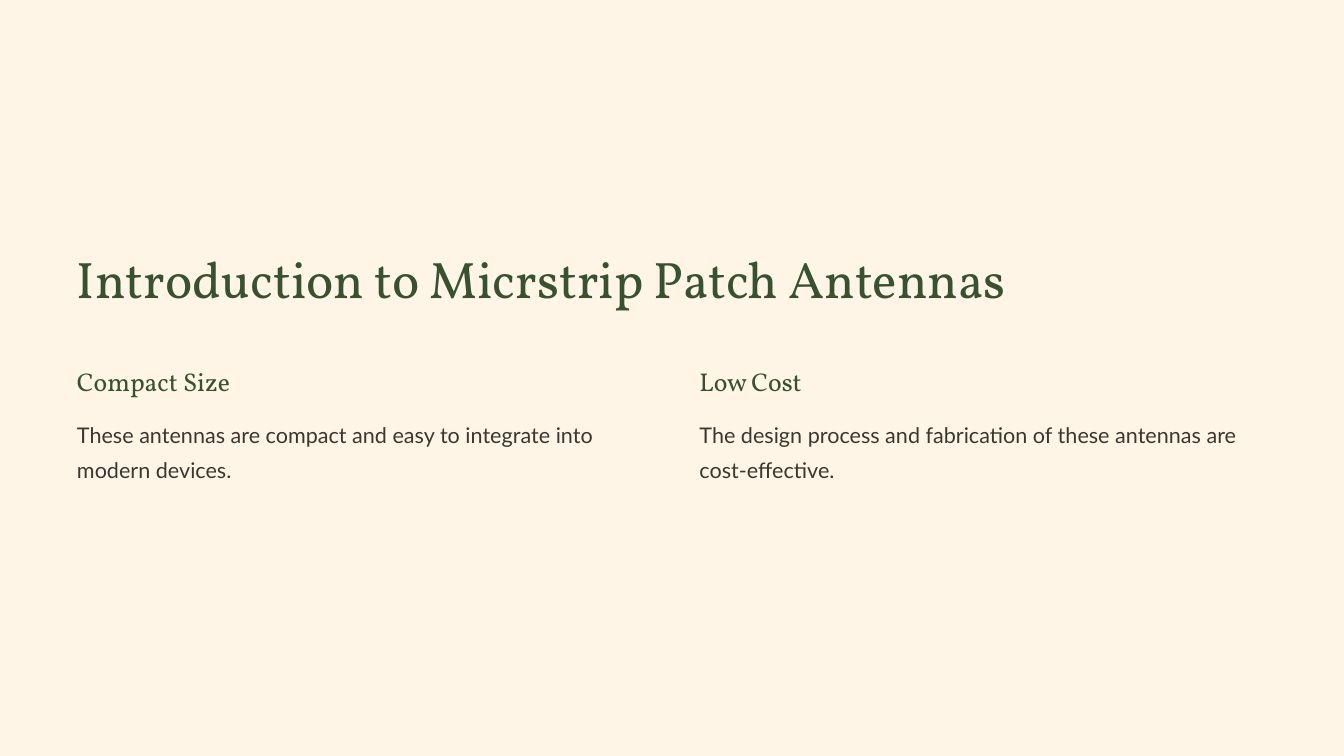
from dataclasses import dataclass

from lxml import etree
from pptx import Presentation
from pptx import util as u
from pptx.dml.color import RGBColor
from pptx.enum import text
from pptx.oxml.ns import qn
from pptx.slide import Slide

COLOURS = {"sand": "F2E4CF", "cream": "FEF5E7", "green": "38512F", "brown": "3A3630"}
BACKDROPS = ["sand", "cream"]
COMPARISON_LAYOUT = 4
SLIDE_WIDTH, SLIDE_HEIGHT = u.Pt(1440), u.Pt(810)
LEFT_MARGIN = 82.5
COLUMN_STEP = 666.9
HEADING_TOP, BODY_TOP = 390.2, 442.1


@dataclass(frozen=True)
class Style:
    font: str
    size: float
    line_spacing: float
    colour: str


@dataclass(frozen=True)
class TextBlock:
    placeholder: int
    words: str
    left: float
    top: float
    width: float
    height: float
    style: Style


@dataclass(frozen=True)
class Benefit:
    heading: str
    description: str


TITLE = Style("Vollkorn", 55, 68.8, "green")
HEADING = Style("Vollkorn", 27.5, 34.4, "green")
BODY = Style("Lato", 23.1, 37.5, "brown")

BENEFITS = [
    Benefit("Compact Size", "These antennas are compact and easy to integrate into modern devices."),
    Benefit("Low Cost", "The design process and fabrication of these antennas are cost-effective."),
]


def apply_format(target: object, values: dict) -> None:
    for name, value in values.items():
        setattr(target, name, value)


def draw_backdrop(slide: Slide, layer: int, colour: str) -> None:
    builder = slide.shapes.build_freeform(0, 0)
    builder.add_line_segments(
        [(SLIDE_WIDTH, 0), (SLIDE_WIDTH, SLIDE_HEIGHT), (0, SLIDE_HEIGHT)], close=True)
    shape = builder.convert_to_shape()
    shape.shadow.inherit = False
    shape.fill.solid()
    shape.fill.fore_color.rgb = RGBColor.from_string(COLOURS[colour])
    shape.line.fill.background()
    slide.shapes._spTree.insert(2 + layer, shape._element)


def draw_text(slide: Slide, block: TextBlock) -> None:
    shape = slide.placeholders[block.placeholder]
    apply_format(shape, {
        "left": u.Pt(block.left), "top": u.Pt(block.top),
        "width": u.Pt(block.width), "height": u.Pt(block.height),
    })
    frame = shape.text_frame
    frame.text = block.words
    apply_format(frame, {
        "margin_left": 0, "margin_top": 0, "margin_right": 0, "margin_bottom": 0,
        "word_wrap": True, "auto_size": text.MSO_AUTO_SIZE.NONE,
        "vertical_anchor": text.MSO_ANCHOR.TOP,
    })
    paragraph = frame.paragraphs[0]
    apply_format(paragraph, {
        "alignment": text.PP_ALIGN.LEFT, "space_before": u.Pt(0),
        "line_spacing": u.Pt(block.style.line_spacing),
    })
    properties = paragraph._p.get_or_add_pPr()
    properties.set("marL", "0")
    properties.set("indent", "0")
    etree.SubElement(properties, qn("a:buNone"))
    font = paragraph.runs[0].font
    apply_format(font, {
        "name": block.style.font, "size": u.Pt(block.style.size), "bold": False,
    })
    font.color.rgb = RGBColor.from_string(COLOURS[block.style.colour])


def draw_benefit(slide: Slide, column: int, benefit: Benefit) -> None:
    left = LEFT_MARGIN + column * COLUMN_STEP
    placeholder = 1 + 2 * column
    draw_text(slide, TextBlock(placeholder, benefit.heading, left, HEADING_TOP, 277.2, 36, HEADING))
    draw_text(slide, TextBlock(placeholder + 1, benefit.description, left, BODY_TOP, 609.1, 82.8, BODY))


def main() -> None:
    presentation = Presentation()
    apply_format(presentation, {"slide_width": SLIDE_WIDTH, "slide_height": SLIDE_HEIGHT})
    slide = presentation.slides.add_slide(presentation.slide_layouts[COMPARISON_LAYOUT])
    for layer, colour in enumerate(BACKDROPS):
        draw_backdrop(slide, layer, colour)
    draw_text(slide, TextBlock(
        0, "Introduction to Micrstrip Patch Antennas", LEFT_MARGIN, 262.1, 1065.6, 70.6, TITLE))
    for column, benefit in enumerate(BENEFITS):
        draw_benefit(slide, column, benefit)
    presentation.save("out.pptx")


if __name__ == "__main__":
    main()
